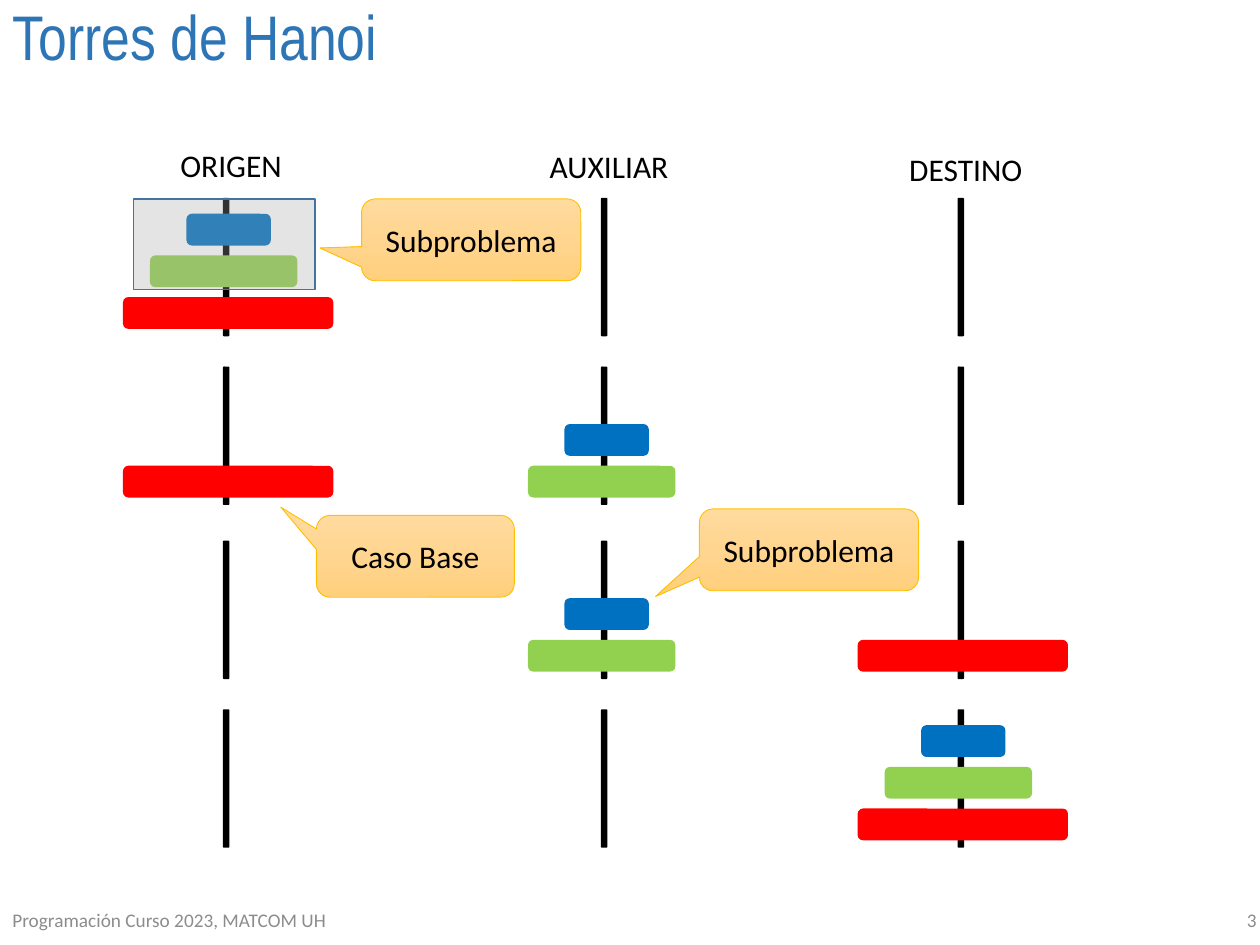
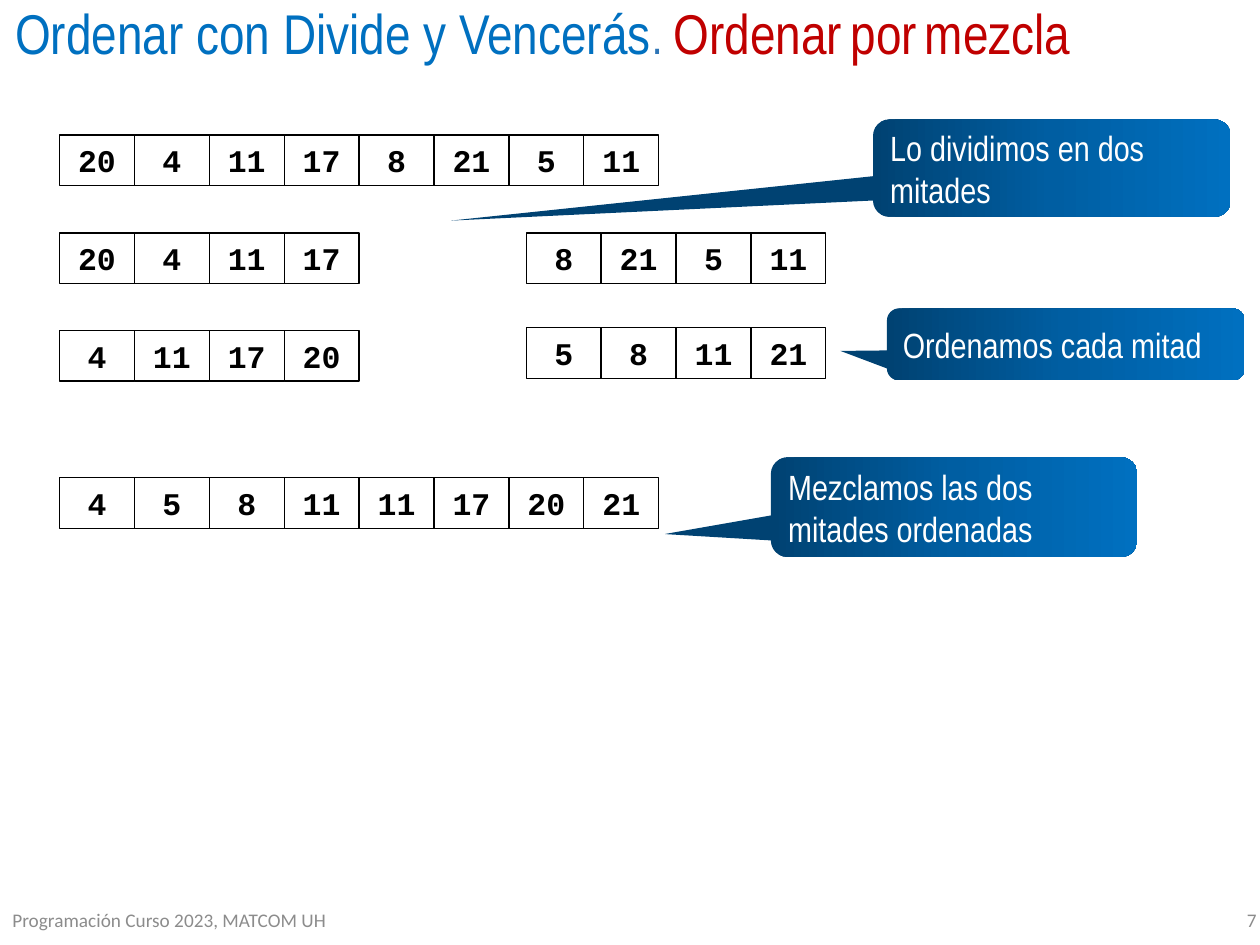
from copy import deepcopy

from lxml import etree
from pptx import Presentation
from pptx import util as u
from pptx.dml import color
from pptx.enum import shapes, text
from pptx.oxml import ns

# Shared palette and fonts
BLUE, TITLE_BLUE, RED = "0070C0", "2E75B6", "C00000"
BLACK, WHITE, GREY = "000000", "FFFFFF", "8C8C8C"
AMBER_FADE = ("FFDB9E", "FFD590", "FFD07C")
NAVY_FADE = ("004272", "005EA2", BLUE)
NARROW, BODY, MONO = "Arial Narrow", "Calibri", "Courier New"
KIND = shapes.MSO_SHAPE
ALIGN = text.PP_ALIGN
MIDDLE, TOP = text.MSO_ANCHOR.MIDDLE, text.MSO_ANCHOR.TOP

# Hanoi measures in cm: disc = (width, colour, shift from rod centre)
ROD_WIDTH, ROD_HEIGHT = 0.13, 2.79
DISC_HEIGHT, DISC_STEP, LOWEST_DISC = 0.64, 0.84, 2.0
DISCS = {
    "large": (4.24, "FF0000", 0.04),
    "medium": (2.97, "92D050", -0.05),
    "small": (1.7, BLUE, 0.05),
}
PEGS = [("ORIGEN", 4.56, 2.82), ("AUXILIAR", 12.18, 2.84), ("DESTINO", 19.37, 2.9)]

# Array cells in cm
CELL_WIDTH, CELL_HEIGHT = 1.51, 1.02


def rgb(hex_code):
    return color.RGBColor.from_string(hex_code)


def cm_box(box):
    return [u.Cm(length) for length in box]


def style_font(font, name, size, hex_code, bold=False):
    font.name, font.size, font.bold = name, u.Pt(size), bold
    font.color.rgb = rgb(hex_code)


def write(shape, words, name, size, hex_code, align=ALIGN.LEFT, bold=False, anchor=MIDDLE):
    frame = shape.text_frame
    frame.word_wrap = True
    frame.vertical_anchor = anchor
    frame.text = words
    paragraph = frame.paragraphs[0]
    paragraph.alignment = align
    style_font(paragraph.font, name, size, hex_code, bold)


def add_block(slide, kind, box, fill=None, line=None, line_width=0.75):
    block = slide.shapes.add_shape(kind, *cm_box(box))
    block.shadow.inherit = False
    if fill:
        block.fill.solid()
        block.fill.fore_color.rgb = rgb(fill)
    else:
        block.fill.background()
    if line:
        block.line.color.rgb = rgb(line)
        block.line.width = u.Pt(line_width)
    else:
        block.line.fill.background()
    return block


def add_label(slide, box, words, *style, **options):
    write(slide.shapes.add_textbox(*cm_box(box)), words, *style, **options)


def fade(shape, hex_codes, angle):
    """Fill a shape with evenly spaced gradient stops."""
    shape.fill.gradient()
    shape.fill.gradient_angle = angle
    stop_list = shape._element.spPr.find(".//" + ns.qn("a:gsLst"))
    stop_list.insert(1, deepcopy(stop_list[0]))
    for i, (stop, hex_code) in enumerate(zip(shape.fill.gradient_stops, hex_codes)):
        stop.position = i / 2
        stop.color.rgb = rgb(hex_code)


def add_callout(slide, box, tip, colours, angle, line=None):
    callout = add_block(slide, KIND.ROUNDED_RECTANGULAR_CALLOUT, box, line=line, line_width=0.5)
    callout.adjustments[0], callout.adjustments[1] = tip
    fade(callout, colours, angle)
    return callout


def start_slide(deck, number, title_box, title_runs):
    """Add a slide with its title, course footer and number."""
    slide = deck.slides.add_slide(deck.slide_layouts[5])
    title = slide.shapes.title
    title.left, title.top, title.width, title.height = cm_box(title_box)
    frame = title.text_frame
    frame.auto_size = text.MSO_AUTO_SIZE.NONE
    frame.vertical_anchor = TOP
    heading = frame.paragraphs[0]
    heading.alignment = ALIGN.LEFT
    heading.line_spacing = 0.9
    for words, size, hex_code in title_runs:
        run = heading.add_run()
        run.text = words
        style_font(run.font, NARROW, size, hex_code)

    add_label(slide, (0, 18.03, 15.24, 1.02), "Programación Curso 2023, MATCOM UH", BODY, 11, GREY)
    add_label(slide, (19.86, 18.03, 5.72, 1.02), str(number), BODY, 11, GREY, align=ALIGN.RIGHT)
    return slide


# Towers of Hanoi
def add_stage(slide, top, stacks):
    """Draw the three rods, then each stack of discs from the bottom up."""
    for _, centre, _ in PEGS:
        rod = (centre - ROD_WIDTH / 2, top, ROD_WIDTH, ROD_HEIGHT)
        add_block(slide, KIND.ROUNDED_RECTANGLE, rod, BLACK)
    for (_, centre, _), stack in zip(PEGS, stacks):
        for level, disc in enumerate(stack):
            width, colour, shift = DISCS[disc]
            disc_top = top + LOWEST_DISC - level * DISC_STEP
            box = (centre + shift - width / 2, disc_top, width, DISC_HEIGHT)
            add_block(slide, KIND.ROUNDED_RECTANGLE, box, colour)


def add_subproblem_veil(slide, box):
    veil = add_block(slide, KIND.RECTANGLE, box, "A6A6A6", "43739E", 1)
    tint = veil._element.spPr.find(ns.qn("a:solidFill"))[0]
    etree.SubElement(tint, ns.qn("a:alpha"), val="30000")


def build_hanoi(deck):
    slide = start_slide(deck, 3, (0, 0, 21.9, 2.84), [("Torres de Hanoi", 36, TITLE_BLUE)])
    for peg, centre, top in PEGS:
        add_label(slide, (centre - 1.9, top, 4, 1.02), peg, BODY, 18, BLACK,
                  align=ALIGN.CENTER, anchor=TOP)

    subproblem = ["medium", "small"]
    stages = [
        (3.99, [["large"] + subproblem, [], []]),
        (7.39, [["large"], subproblem, []]),
        (10.9, [[], subproblem, ["large"]]),
        (14.3, [[], [], ["large"] + subproblem]),
    ]
    for top, stacks in stages:
        add_stage(slide, top, stacks)

    add_subproblem_veil(slide, (2.69, 4.01, 3.66, 1.83))
    steps = [
        ("Caso Base", (6.38, 10.39, 3.99, 1.65), (-0.68, -0.6)),
        ("Subproblema", (7.29, 4.01, 4.42, 1.65), (-0.69, 0.1)),
        ("Subproblema", (14.1, 10.26, 4.42, 1.65), (-0.7, 0.57)),
    ]
    for words, box, tip in steps:
        callout = add_callout(slide, box, tip, AMBER_FADE, 270, "FFC000")
        write(callout, words, BODY, 18, BLACK, align=ALIGN.CENTER)


# Merge sort
def add_array(slide, left, top, values):
    for i, value in enumerate(values):
        box = (left + i * CELL_WIDTH, top, CELL_WIDTH, CELL_HEIGHT)
        cell = add_block(slide, KIND.RECTANGLE, box, line=BLACK)
        write(cell, str(value), MONO, 18, BLACK, align=ALIGN.CENTER, bold=True, anchor=TOP)


def build_merge_sort(deck):
    slide = start_slide(deck, 7, (0.05, 0, 21.9, 1.75), [
        ("Ordenar con Divide y Vencerás", 32, BLUE),
        (". ", 28, TITLE_BLUE),
        ("Ordenar", 32, RED),
        (" ", 20, RED),
        ("por", 32, RED),
        (" ", 20, RED),
        ("mezcla", 32, RED),
    ])

    numbers = [20, 4, 11, 17, 8, 21, 5, 11]
    first_half, second_half = numbers[:4], numbers[4:]
    left, right = 1.2, 10.61
    add_array(slide, left, 2.72, numbers)
    add_array(slide, left, 4.7, first_half)
    add_array(slide, right, 4.7, second_half)
    add_array(slide, left, 6.66, sorted(first_half))
    add_array(slide, right, 6.61, sorted(second_half))
    add_array(slide, left, 9.63, sorted(numbers))

    steps = [
        ("Lo dividimos en dos mitades", (17.6, 2.41, 7.21, 1.96), (-1.68, 0.54)),
        ("Ordenamos cada mitad", (17.88, 6.22, 7.21, 1.45), (-0.63, 0.09)),
        ("Mezclamos las dos mitades ordenadas", (15.54, 9.22, 7.39, 2.01), (-0.79, 0.27)),
    ]
    for words, box, tip in steps:
        write(add_callout(slide, box, tip, NAVY_FADE, 0), words, NARROW, 20, WHITE)


def main():
    deck = Presentation()
    deck.slide_width, deck.slide_height = u.Cm(25.4), u.Cm(19.05)
    build_hanoi(deck)
    build_merge_sort(deck)
    deck.save("out.pptx")


if __name__ == "__main__":
    main()
